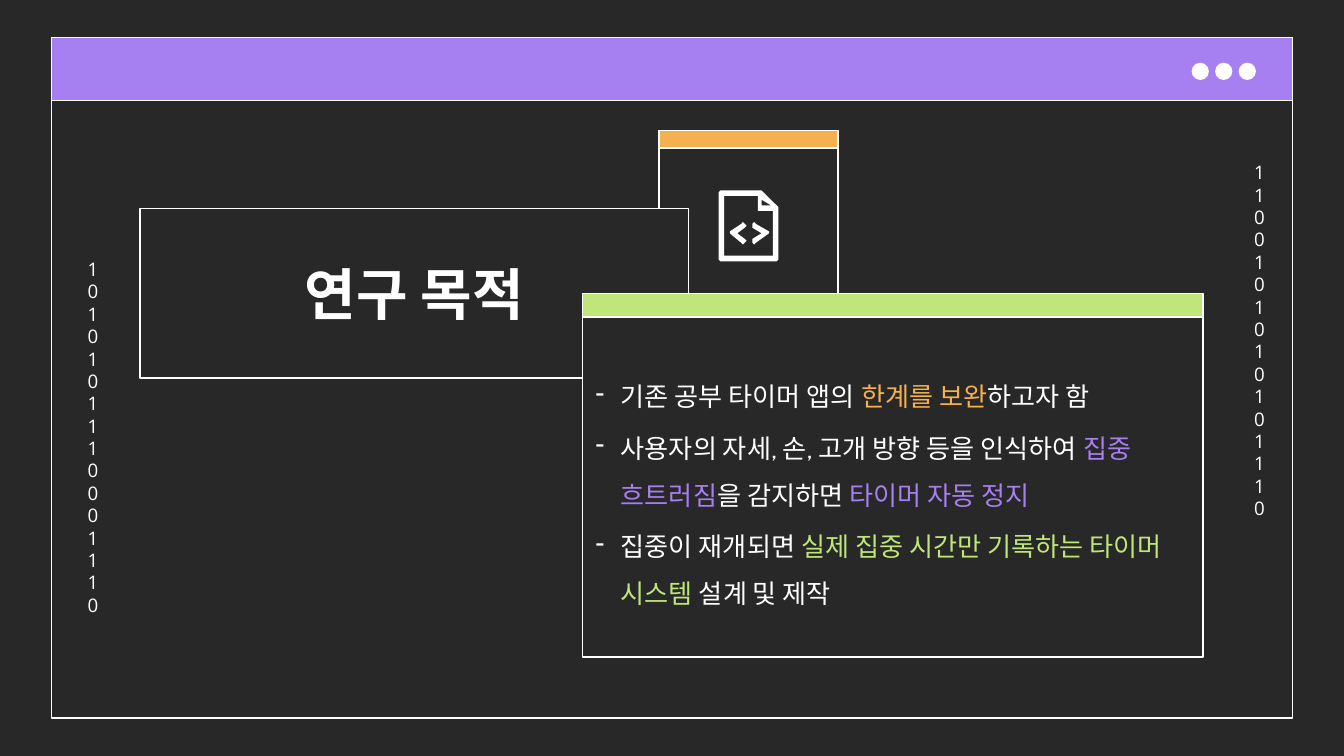
from lxml import etree
from pptx import Presentation
from pptx.dml.color import RGBColor
from pptx.enum import shapes, text
from pptx.oxml import ns
from pptx.util import Pt

DARK = RGBColor(0x29, 0x28, 0x28)
WHITE = RGBColor(0xFF, 0xFF, 0xFF)
PURPLE = RGBColor(0xA6, 0x7F, 0xF1)
ORANGE = RGBColor(0xF5, 0xB1, 0x50)
GREEN = RGBColor(0xC0, 0xE6, 0x7A)

deck = Presentation()
deck.slide_width, deck.slide_height = Pt(720), Pt(405)
page = deck.slides.add_slide(deck.slide_layouts[5])
page.background.fill.solid()
page.background.fill.fore_color.rgb = DARK


def add_panel(left, top, width, height, color=DARK, kind=shapes.MSO_SHAPE.RECTANGLE):
    panel = page.shapes.add_shape(kind, Pt(left), Pt(top), Pt(width), Pt(height))
    panel.shadow.inherit = False
    panel.fill.solid()
    panel.fill.fore_color.rgb = color
    panel.line.color.rgb = WHITE
    panel.line.width = Pt(0.75)
    return panel


def write(para, words, *, size, font, color=WHITE, bold=False):
    span = para.add_run()
    span.text = words
    span.font.size = Pt(size)
    span.font.name = font
    span.font.bold = bold
    span.font.color.rgb = color


add_panel(27.5, 20.25, 665, 364.5)
add_panel(27.5, 20.25, 665, 33.5, PURPLE)
for index in range(3):
    add_panel(638.75 + 12.6 * index, 34, 8.5, 8.5, WHITE, shapes.MSO_SHAPE.OVAL)

for left, top, digits in [
    (664.75, 79.2, ["1100101010101110"]),
    (39.9, 131, ["101010111000111", "0"]),
]:
    box = page.shapes.add_textbox(Pt(left), Pt(top), Pt(17.3), Pt(201.6))
    frame = box.text_frame
    frame.word_wrap = True
    frame.margin_left = frame.margin_right = Pt(7.2)
    frame.margin_top = frame.margin_bottom = Pt(7.2)
    for index, words in enumerate(digits):
        para = frame.add_paragraph() if index else frame.paragraphs[0]
        para.alignment = text.PP_ALIGN.CENTER
        para.line_spacing = Pt(12)
        write(para, words, size=10, font="Open Sans")

add_panel(353, 69.8, 96, 96)
add_panel(353, 69.8, 96, 9.5, ORANGE)

sheet = [(384.8, 102.6), (385.8, 101.6), (407, 101.6), (408.2, 102), (416.9, 110.6),
         (417.4, 111.8), (417.4, 138.6), (416.4, 139.6), (385.8, 139.6), (384.8, 138.6)]
inside = [(388, 104.7), (405.5, 104.7), (405.5, 111.8), (406, 112.8), (407, 113.3),
          (414.4, 113.3), (414.4, 136.6), (388, 136.6)]
fold = [(408.2, 106.6), (412.6, 110.4), (408.2, 110.4)]
right_mark = [(411.6, 125.1), (405.3, 130.3), (404.2, 130.7), (403, 130.2), (402.7, 129),
              (403.2, 128.2), (407.5, 125.1), (403.2, 121.8), (402.7, 120.8), (403, 119.7),
              (404.2, 119.2), (405.3, 119.6), (411.6, 124)]
middle = 401.1
left_mark = [(2 * middle - x, y) for x, y in right_mark]

outlines = [sheet, inside, fold, right_mark, left_mark]
builder = page.shapes.build_freeform(*sheet[0], scale=float(Pt(1)))
for index, outline in enumerate(outlines):
    if index:
        builder.move_to(*outline[0])
    builder.add_line_segments(outline[1:], close=True)
icon = builder.convert_to_shape()
icon.shadow.inherit = False
icon.fill.solid()
icon.fill.fore_color.rgb = WHITE
icon.line.fill.background()

title = page.shapes.title
title.element.getparent().append(title.element)
title.left, title.top, title.width, title.height = Pt(75), Pt(111.75), Pt(294), Pt(90.75)
title.fill.solid()
title.fill.fore_color.rgb = DARK
title.line.color.rgb = WHITE
title.line.width = Pt(0.75)
title.text_frame.auto_size = text.MSO_AUTO_SIZE.NONE
title.text_frame.vertical_anchor = text.MSO_ANCHOR.MIDDLE
title.text_frame.paragraphs[0].alignment = text.PP_ALIGN.CENTER
write(title.text_frame.paragraphs[0], "연구 목적", size=30, font="Cabin", bold=True)

purposes = [
    [("기존 공부 타이머 앱의 ", WHITE), ("한계를 보완", ORANGE), ("하고자 함", WHITE)],
    [("사용자의 자세, 손, 고개 방향 등을 인식하여 ", WHITE), ("집중 흐트러짐", PURPLE),
     ("을 감지하면 ", WHITE), ("타이머 자동 정지", PURPLE)],
    [("집중이 재개되면 ", WHITE), ("실제 집중 시간만 기록하는 타이머 시스템 ", GREEN),
     ("설계 및 제작", WHITE)],
]
frame = add_panel(312, 169.75, 332.5, 182.25).text_frame
frame.word_wrap = True
frame.vertical_anchor = text.MSO_ANCHOR.MIDDLE
frame.margin_left = frame.margin_right = Pt(7.2)
frame.margin_top = frame.margin_bottom = Pt(7.2)
for index, purpose in enumerate(purposes):
    para = frame.add_paragraph() if index else frame.paragraphs[0]
    para.alignment = text.PP_ALIGN.LEFT
    para.line_spacing = 1.5
    para.space_before = Pt(1.2 if index else 0)
    para.space_after = Pt(1.2)
    properties = para._p.get_or_add_pPr()
    properties.set("marL", str(Pt(13.5)))
    properties.set("indent", str(-Pt(13.5)))
    bullet_color = etree.SubElement(properties, ns.qn("a:buClr"))
    etree.SubElement(bullet_color, ns.qn("a:srgbClr"), val=str(WHITE))
    etree.SubElement(properties, ns.qn("a:buChar"), char="-")
    for words, color in purpose:
        write(para, words, size=14, font="Cabin", color=color)

add_panel(312, 157.25, 332.5, 12.5, GREEN)

deck.save("out.pptx")
